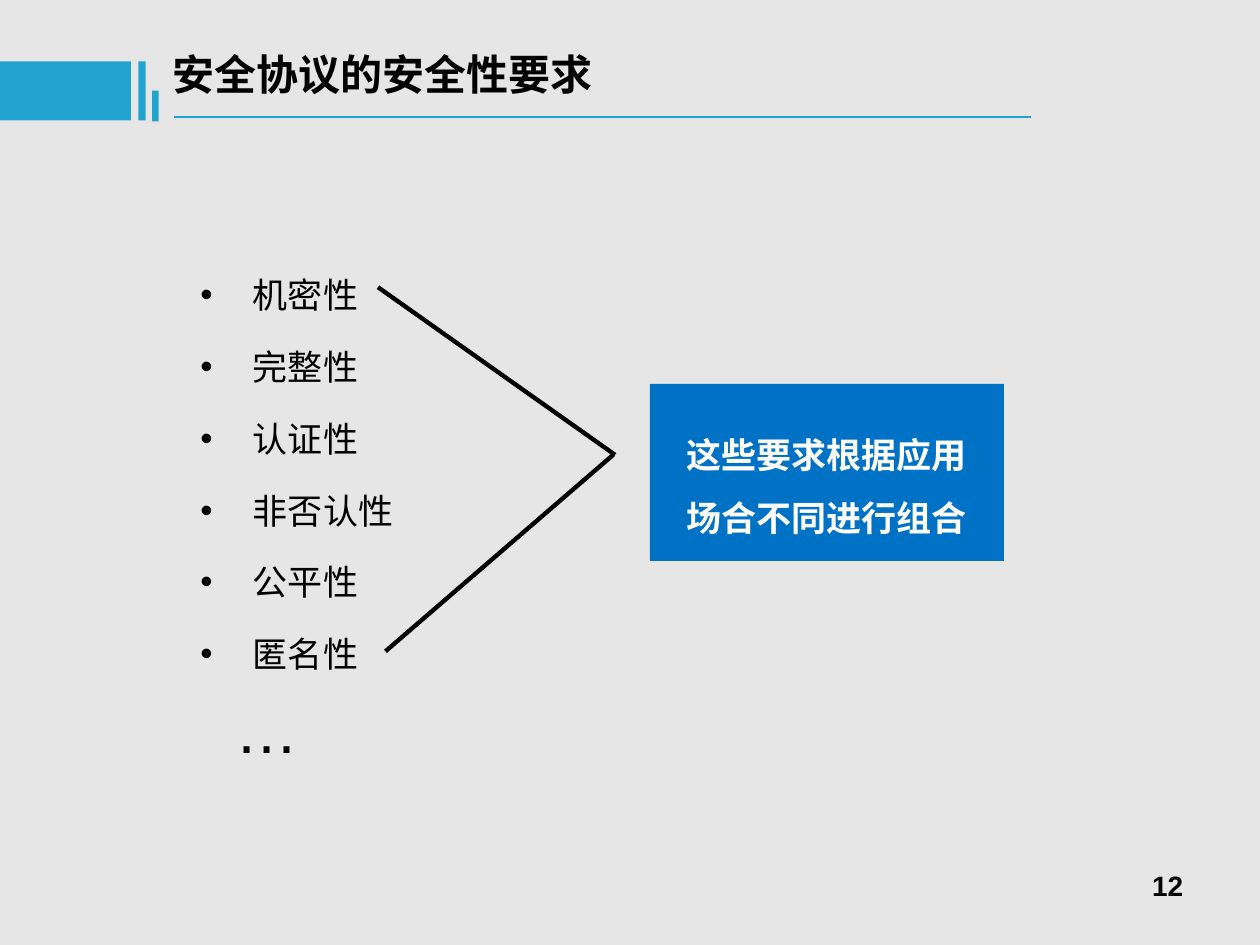
from dataclasses import dataclass

from lxml import etree
from pptx import Presentation
from pptx.dml.color import RGBColor
from pptx.enum.shapes import MSO_CONNECTOR, MSO_SHAPE
from pptx.enum.text import PP_ALIGN
from pptx.oxml.ns import qn
from pptx.util import Cm, Pt

RECTANGLE = MSO_SHAPE.RECTANGLE
STRAIGHT = MSO_CONNECTOR.STRAIGHT
LEFT = PP_ALIGN.LEFT
RIGHT = PP_ALIGN.RIGHT

BLACK = RGBColor(0x00, 0x00, 0x00)
WHITE = RGBColor(0xFF, 0xFF, 0xFF)
GREY = RGBColor(0xE7, 0xE6, 0xE6)
ACCENT = RGBColor(0x21, 0xA3, 0xD0)
BLUE = RGBColor(0x00, 0x72, 0xC6)

CHINESE = "Noto Sans CJK SC"
LATIN = "Arial"
REQUIREMENTS = ["机密性", "完整性", "认证性", "非否认性", "公平性", "匿名性"]


@dataclass(frozen=True)
class Box:
    left: float
    top: float
    width: float
    height: float

    def lengths(self) -> list:
        return [Cm(value) for value in (self.left, self.top, self.width, self.height)]


@dataclass(frozen=True)
class Style:
    size: float
    color: RGBColor = BLACK
    font: str = CHINESE
    bold: bool = False
    align: PP_ALIGN = LEFT
    line_spacing: float = 1.0


@dataclass(frozen=True)
class Line:
    start: tuple[float, float]
    end: tuple[float, float]
    color: RGBColor
    width: float


BARS = [
    Box(0, 1.24, 2.64, 1.19),
    Box(2.79, 1.24, 0.15, 1.19),
    Box(3.07, 1.83, 0.13, 0.62),
]
LINES = [
    Line((3.51, 2.36), (20.78, 2.36), ACCENT, 1.5),
    Line((7.62, 5.79), (12.4, 9.17), BLACK, 2.5),
    Line((12.36, 9.17), (7.77, 13.13), BLACK, 2.5),
]


def style_paragraph(paragraph, style: Style) -> None:
    paragraph.alignment = style.align
    paragraph.line_spacing = style.line_spacing
    for run in paragraph.runs:
        run.font.size = Pt(style.size)
        run.font.bold = style.bold
        run.font.color.rgb = style.color
        run.font.name = style.font
        properties = run._r.get_or_add_rPr()
        etree.SubElement(properties, qn("a:ea"), typeface=style.font)


def add_text(slide, box: Box, text: str, style: Style,
             margins: tuple[float, float] = (0.28, 0.15)):
    text_frame = slide.shapes.add_textbox(*box.lengths()).text_frame
    text_frame.word_wrap = True
    text_frame.margin_left = text_frame.margin_right = Cm(margins[0])
    text_frame.margin_top = text_frame.margin_bottom = Cm(margins[1])
    text_frame.text = text
    for paragraph in text_frame.paragraphs:
        style_paragraph(paragraph, style)
    return text_frame


def add_bullet(paragraph) -> None:
    properties = paragraph._p.get_or_add_pPr()
    properties.set("marL", str(Cm(1.06)))
    properties.set("indent", str(-Cm(1.06)))
    etree.SubElement(properties, qn("a:buFont"), typeface=LATIN)
    etree.SubElement(properties, qn("a:buChar"), char="•")


def add_requirements(slide) -> None:
    text_frame = add_text(slide, Box(3.76, 4.95, 7.44, 12.24),
                          "\n".join(REQUIREMENTS), Style(20, line_spacing=1.5))
    for index, paragraph in enumerate(text_frame.paragraphs):
        add_bullet(paragraph)
        paragraph.space_before = Pt(5 if index else 0)
    ellipsis = text_frame.add_paragraph()
    ellipsis.text = "…"
    ellipsis._p.get_or_add_pPr().set("marL", str(Cm(0.7)))
    ellipsis.space_before = Pt(9)
    style_paragraph(ellipsis, Style(36, font=LATIN))


def add_rectangle(slide, box: Box, color: RGBColor) -> None:
    shape = slide.shapes.add_shape(RECTANGLE, *box.lengths())
    shape.shadow.inherit = False
    shape.fill.solid()
    shape.fill.fore_color.rgb = color
    shape.line.fill.background()


def add_line(slide, line: Line) -> None:
    points = [Cm(value) for value in (*line.start, *line.end)]
    connector = slide.shapes.add_connector(STRAIGHT, *points)
    connector.line.color.rgb = line.color
    connector.line.width = Pt(line.width)
    etree.SubElement(connector._element.spPr, qn("a:effectLst"))


def main() -> None:
    presentation = Presentation()
    presentation.slide_width = Cm(25.4)
    presentation.slide_height = Cm(19.05)
    slide = presentation.slides.add_slide(presentation.slide_layouts[6])
    slide.background.fill.solid()
    slide.background.fill.fore_color.rgb = GREY

    add_text(slide, Box(18.21, 17.35, 5.92, 1.32), "12",
             Style(16, font=LATIN, bold=True, align=RIGHT))
    add_requirements(slide)
    add_text(slide, Box(3.23, 0.84, 11.56, 1.27), "安全协议的安全性要求",
             Style(24, bold=True), (0.25, 0.13))
    for bar in BARS:
        add_rectangle(slide, bar, ACCENT)
    for line in LINES:
        add_line(slide, line)
    add_rectangle(slide, Box(13.1, 7.74, 7.14, 3.57), BLUE)
    add_text(slide, Box(13.84, 8.31, 6.25, 2.54),
             "这些要求根据应用\n场合不同进行组合",
             Style(20, WHITE, bold=True, line_spacing=1.5), (0, 0))

    presentation.save("out.pptx")


if __name__ == "__main__":
    main()
